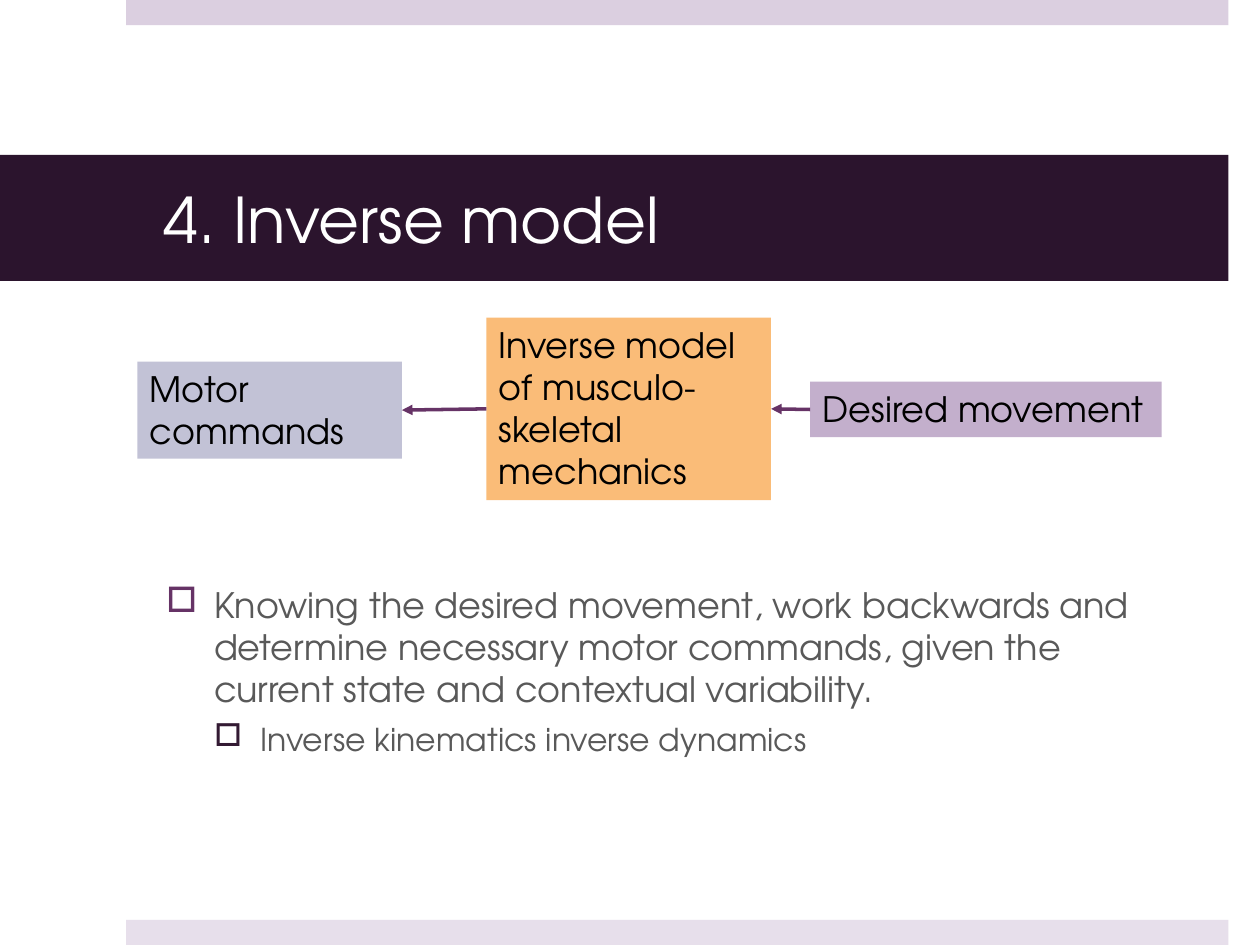
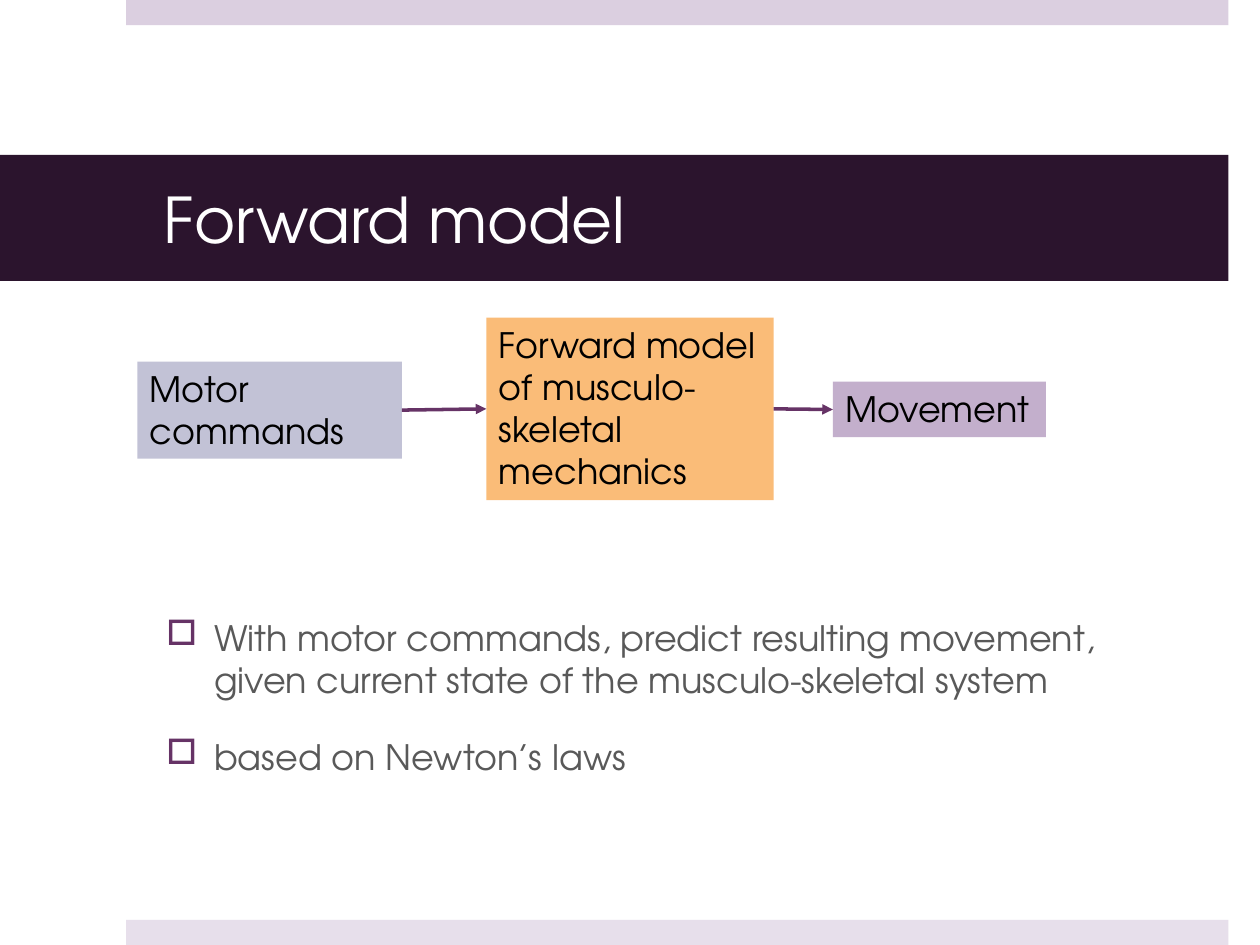
from lxml import etree
from pptx import Presentation
from pptx.dml.color import RGBColor
from pptx.enum.shapes import MSO_CONNECTOR, MSO_SHAPE
from pptx.enum.text import MSO_ANCHOR, MSO_AUTO_SIZE, PP_ALIGN
from pptx.oxml.ns import qn
from pptx.util import Inches, Pt

RECTANGLE = MSO_SHAPE.RECTANGLE
STRAIGHT = MSO_CONNECTOR.STRAIGHT
LEFT_ALIGNED = PP_ALIGN.LEFT
TOP, MIDDLE = MSO_ANCHOR.TOP, MSO_ANCHOR.MIDDLE
GROW = MSO_AUTO_SIZE.SHAPE_TO_FIT_TEXT
LEFT_SIDE, RIGHT_SIDE = 1, 3

FONT = "TeX Gyre Adventor"
WHITE = RGBColor(0xFF, 0xFF, 0xFF)
BLACK = RGBColor(0x00, 0x00, 0x00)
GREY = RGBColor(0x59, 0x59, 0x59)
DARK_PURPLE = RGBColor(0x2B, 0x14, 0x2D)
PURPLE = RGBColor(0x66, 0x33, 0x66)
DEEP_PURPLE = RGBColor(0x33, 0x1A, 0x33)
TOP_BAND = RGBColor(0xDB, 0xCF, 0xE0)
BOTTOM_BAND = RGBColor(0xE7, 0xDF, 0xEB)
BLUE_GREY = RGBColor(0xC2, 0xC2, 0xD6)
ORANGE = RGBColor(0xFA, 0xBC, 0x78)
LILAC = RGBColor(0xC3, 0xAF, 0xCC)

# Per level: text size, space before, left indent, hanging indent, bullet colour
BULLET_LEVELS = [
    (20, 20, 0.38, 0.38, PURPLE),
    (18, 6, 0.75, 0.37, DEEP_PURPLE),
]


class Deck:
    """Holds the presentation, its shared style and the current slide."""

    def __init__(self):
        self.presentation = Presentation()
        self.presentation.slide_width = Inches(10)
        self.presentation.slide_height = Inches(7.5)
        self.slide = None

    def add_slide(self, title):
        self.slide = self.presentation.slides.add_slide(self.presentation.slide_layouts[6])
        self.rectangle(1, 0, 8.75, 0.2, TOP_BAND)
        self.rectangle(1, 7.3, 8.75, 0.2, BOTTOM_BAND)
        frame = self.rectangle(0, 1.23, 9.75, 1, DARK_PURPLE).text_frame
        frame.margin_left, frame.margin_right = Inches(1.3), Inches(0.3)
        frame.vertical_anchor = MIDDLE
        frame.word_wrap = True
        self.fill_text(frame, [title], 36, WHITE)

    def rectangle(self, left, top, width, height, color):
        shape = self.slide.shapes.add_shape(
            RECTANGLE, Inches(left), Inches(top), Inches(width), Inches(height))
        shape.shadow.inherit = False
        shape.fill.solid()
        shape.fill.fore_color.rgb = color
        shape.line.fill.background()
        return shape

    def fill_text(self, frame, texts, size, color):
        """Put one left-aligned paragraph per text into the frame."""
        for index, text in enumerate(texts):
            paragraph = frame.add_paragraph() if index else frame.paragraphs[0]
            paragraph.text = text
            paragraph.alignment = LEFT_ALIGNED
            self.style(paragraph, size, color)

    def style(self, paragraph, size, color):
        paragraph.font.name = FONT
        paragraph.font.size = Pt(size)
        paragraph.font.color.rgb = color

    def box(self, left, top, width, height, color, texts, wrap=True):
        shape = self.rectangle(left, top, width, height, color)
        frame = shape.text_frame
        frame.word_wrap = wrap
        frame.auto_size = GROW
        frame.vertical_anchor = TOP
        self.fill_text(frame, texts, 20, BLACK)
        return shape

    def arrow(self, start, start_side, end, end_side):
        connector = self.slide.shapes.add_connector(STRAIGHT, 0, 0, 0, 0)
        connector.begin_connect(start, start_side)
        connector.end_connect(end, end_side)
        connector.line.color.rgb = PURPLE
        connector.line.width = Pt(2)
        properties = connector._element.spPr
        etree.SubElement(properties.find(qn("a:ln")), qn("a:tailEnd"), type="triangle")
        etree.SubElement(properties, qn("a:effectLst"))

    def bullets(self, top, items):
        """Add a list of (level, text) items that ends at a fixed height."""
        text_box = self.slide.shapes.add_textbox(
            Inches(1.22), Inches(top), Inches(8.32), Inches(6.85 - top))
        frame = text_box.text_frame
        frame.word_wrap = True
        for index, (level, text) in enumerate(items):
            size, space, indent, hanging, bullet_color = BULLET_LEVELS[level]
            paragraph = frame.add_paragraph() if index else frame.paragraphs[0]
            paragraph.text = text
            paragraph.level = level
            paragraph.space_before = Pt(space)
            properties = paragraph._p.get_or_add_pPr()
            properties.set("marL", str(Inches(indent)))
            properties.set("indent", str(-Inches(hanging)))
            bullet = etree.SubElement(properties, qn("a:buClr"))
            etree.SubElement(bullet, qn("a:srgbClr"), val=str(bullet_color))
            etree.SubElement(properties, qn("a:buChar"), char="□")
            self.style(paragraph, size, GREY)

    def model_diagram(self, model_texts, model_width, movement, left, width, inverse):
        """Draw commands, model and movement; an inverse model runs right to left."""
        commands_box = self.box(1.09, 2.87, 2.1, 0.77, BLUE_GREY, ["Motor commands"])
        model_box = self.box(3.86, 2.52, model_width, 1.45, ORANGE, model_texts)
        movement_box = self.box(left, 3.03, width, 0.44, LILAC, [movement], wrap=False)
        for before, after in [(model_box, movement_box), (commands_box, model_box)]:
            if inverse:
                self.arrow(after, LEFT_SIDE, before, RIGHT_SIDE)
            else:
                self.arrow(before, RIGHT_SIDE, after, LEFT_SIDE)


def main():
    deck = Deck()

    deck.add_slide("4. Inverse model")
    deck.bullets(4.58, [
        (0, "Knowing the desired movement, work backwards and determine necessary "
            "motor commands, given the current state and contextual variability."),
        (1, "Inverse kinematics inverse dynamics"),
    ])
    deck.model_diagram(["Inverse model", "of musculo-skeletal mechanics"], 2.26,
                       "Desired movement", 6.43, 2.79, inverse=True)

    deck.add_slide("Forward model")
    deck.bullets(4.84, [
        (0, "With motor commands, predict resulting movement, given current state "
            "of the musculo-skeletal system"),
        (0, "based on Newton’s laws"),
    ])
    deck.model_diagram(["Forward model of musculo-skeletal mechanics"], 2.28,
                       "Movement", 6.61, 1.69, inverse=False)

    deck.presentation.save("out.pptx")


if __name__ == "__main__":
    main()
